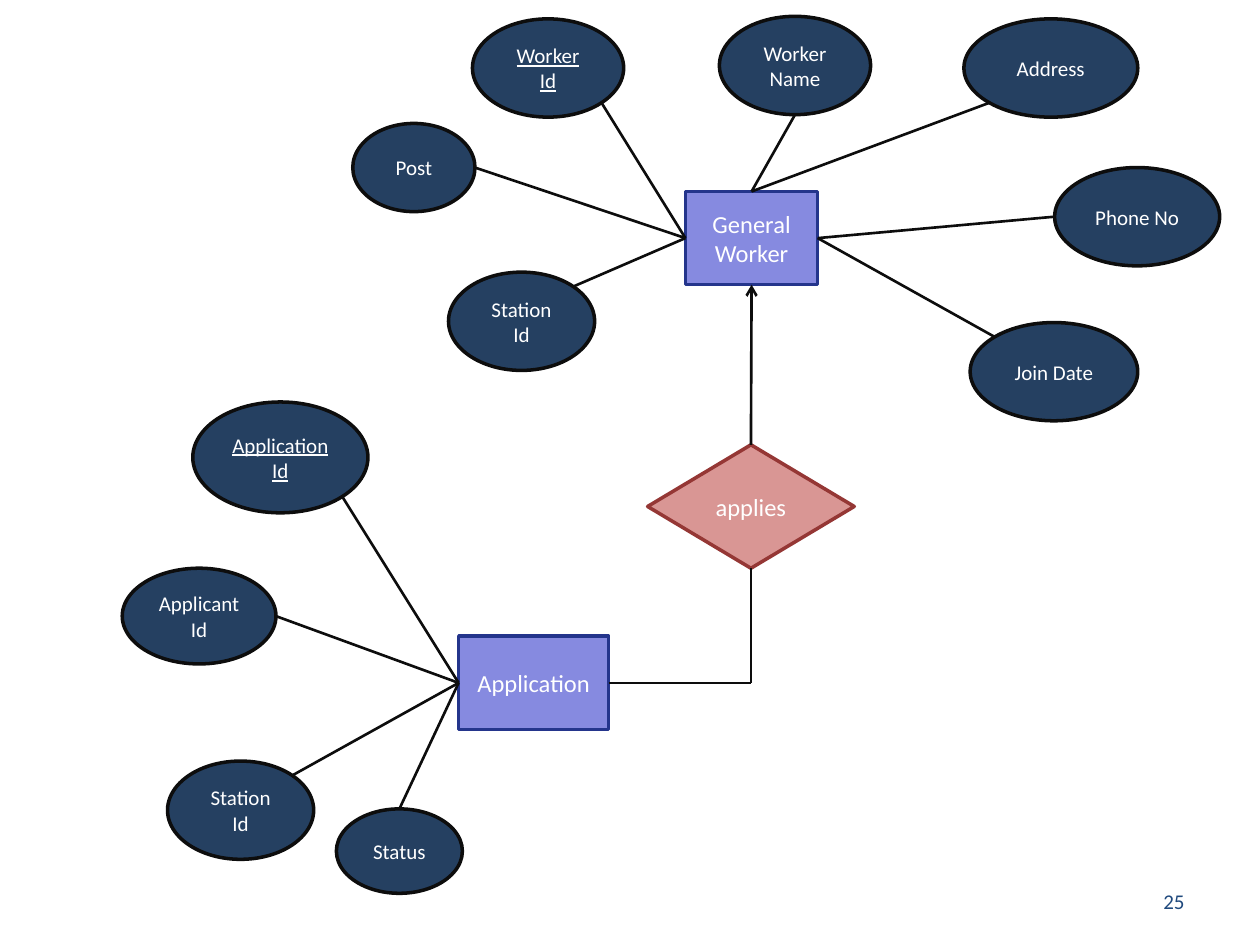
from dataclasses import dataclass
from typing import Optional

from lxml import etree
from pptx import Presentation, util as u
from pptx.dml.color import RGBColor
from pptx.enum import shapes, text
from pptx.oxml import ns

CELL = 0.1  # inches per grid column and row
COLS, ROWS = 100, 75
TOP, LEFT, BASE, RIGHT = range(4)
DIAG = 0.5 ** 0.5
# Points on an oval's rim, in half widths and half heights from its centre
RIM = {
    "n": (0, -1), "e": (1, 0), "s": (0, 1), "w": (-1, 0),
    "ne": (DIAG, -DIAG), "se": (DIAG, DIAG),
    "sw": (-DIAG, DIAG), "nw": (-DIAG, -DIAG),
}


@dataclass(frozen=True)
class Style:
    kind: shapes.MSO_SHAPE
    fill: str
    edge: str
    size: int


@dataclass(frozen=True)
class Theme:
    font: str = "Calibri"
    ink: str = "FFFFFF"
    wire: str = "0D0D0D"
    folio: str = "1F497D"
    small: int = 12
    edge: float = 2
    thin: float = 1.5
    entity: Style = Style(shapes.MSO_SHAPE.RECTANGLE, "868AE0", "24358C", 14)
    field: Style = Style(shapes.MSO_SHAPE.OVAL, "254061", "0D0D0D", 12)
    action: Style = Style(shapes.MSO_SHAPE.FLOWCHART_DECISION,
                          "D99694", "953735", 14)


@dataclass(frozen=True)
class Box:
    col: float
    row: float
    wide: float
    high: float

    def spot(self, side: str) -> tuple[float, float]:
        x, y = RIM[side]
        return (self.col + self.wide * (1 + x) / 2,
                self.row + self.high * (1 + y) / 2)


@dataclass(frozen=True)
class Field:
    name: str
    box: Box
    rim: str
    side: int
    key: bool = False


@dataclass(frozen=True)
class Entity:
    name: str
    box: Box
    fields: tuple[Field, ...]


THEME = Theme()

WORKER = Entity("General\nWorker", Box(54.4, 15.2, 10.5, 7.4), (
    Field("Worker Id", Box(37.5, 1.5, 12, 7.8), "se", LEFT, key=True),
    Field("Worker Name", Box(57.1, 1.3, 12, 7.8), "s", TOP),
    Field("Address", Box(76.5, 1.5, 13.8, 7.8), "sw", TOP),
    Field("Phone No", Box(83.7, 13.3, 13.1, 7.8), "w", RIGHT),
    Field("Join Date", Box(77, 25.6, 13.3, 7.8), "nw", RIGHT),
    Field("Station Id", Box(35.6, 21.6, 11.6, 7.8), "ne", LEFT),
    Field("Post", Box(28, 9.8, 9.7, 7), "e", LEFT),
))
FORM = Entity("Application", Box(36.4, 50.5, 11.9, 7.4), (
    Field("Application Id", Box(15.3, 31.9, 13.9, 8.8), "se", LEFT, key=True),
    Field("Applicant Id", Box(9.7, 45.1, 12.2, 7.6), "e", LEFT),
    Field("Station Id", Box(13.3, 60.4, 11.6, 7.8), "ne", LEFT),
    Field("Status", Box(26.7, 64.2, 10, 6.7), "n", LEFT),
))
APPLY = Box(51.4, 35.3, 16.4, 9.8)
FOLIO = Box(71.7, 69.5, 23.3, 4)


def grid(*cells: float) -> list[int]:
    return [u.Inches(cell * CELL) for cell in cells]


def write(frame, words: str, size: int, ink: str,
          align: text.PP_ALIGN, line: Optional[bool] = None) -> None:
    frame.word_wrap = True
    frame.vertical_anchor = text.MSO_ANCHOR.MIDDLE
    para = frame.paragraphs[0]
    para.alignment = align
    for i, part in enumerate(words.split("\n")):
        if i:
            para.add_line_break()
        run = para.add_run()
        run.text = part
        run.font.name = THEME.font
        run.font.size = u.Pt(size)
        run.font.underline = line
        run.font.color.rgb = RGBColor.from_string(ink)


def node(page, box: Box, words: str, style: Style, key: bool = False):
    shape = page.shapes.add_shape(
        style.kind, *grid(box.col, box.row, box.wide, box.high))
    shape.shadow.inherit = False
    shape.fill.solid()
    shape.fill.fore_color.rgb = RGBColor.from_string(style.fill)
    shape.line.color.rgb = RGBColor.from_string(style.edge)
    shape.line.width = u.Pt(THEME.edge)
    write(shape.text_frame, words, style.size, THEME.ink,
          text.PP_ALIGN.CENTER, key or None)
    return shape


def link(page, start, side: int, end=(0, 0)):
    """Run a line from a side of a shape to a grid point."""
    wire = page.shapes.add_connector(
        shapes.MSO_CONNECTOR.STRAIGHT, *grid(0, 0, *end))
    wire.begin_connect(start, side)
    wire.line.color.rgb = RGBColor.from_string(THEME.wire)
    wire.line.width = u.Pt(THEME.thin)
    etree.SubElement(wire.element.spPr, ns.qn("a:effectLst"))
    return wire


def draw(page, entity: Entity):
    hub = node(page, entity.box, entity.name, THEME.entity)
    for item in entity.fields:
        node(page, item.box, item.name, THEME.field, item.key)
        link(page, hub, item.side, item.box.spot(item.rim))
    return hub


def main() -> None:
    deck = Presentation()
    deck.slide_width, deck.slide_height = grid(COLS, ROWS)
    page = deck.slides.add_slide(deck.slide_layouts[6])

    worker = draw(page, WORKER)
    form = draw(page, FORM)
    apply = node(page, APPLY, "applies", THEME.action)

    arrow = link(page, apply, TOP)
    arrow.end_connect(worker, BASE)
    etree.SubElement(arrow.line._get_or_add_ln(), ns.qn("a:tailEnd"),
                     type="arrow")
    bend = (APPLY.spot("s")[0], FORM.box.spot("e")[1])
    link(page, form, RIGHT, bend)
    link(page, apply, BASE, bend)

    folio = page.shapes.add_textbox(
        *grid(FOLIO.col, FOLIO.row, FOLIO.wide, FOLIO.high))
    write(folio.text_frame, "25", THEME.small, THEME.folio,
          text.PP_ALIGN.RIGHT)
    deck.save("out.pptx")


if __name__ == "__main__":
    main()
